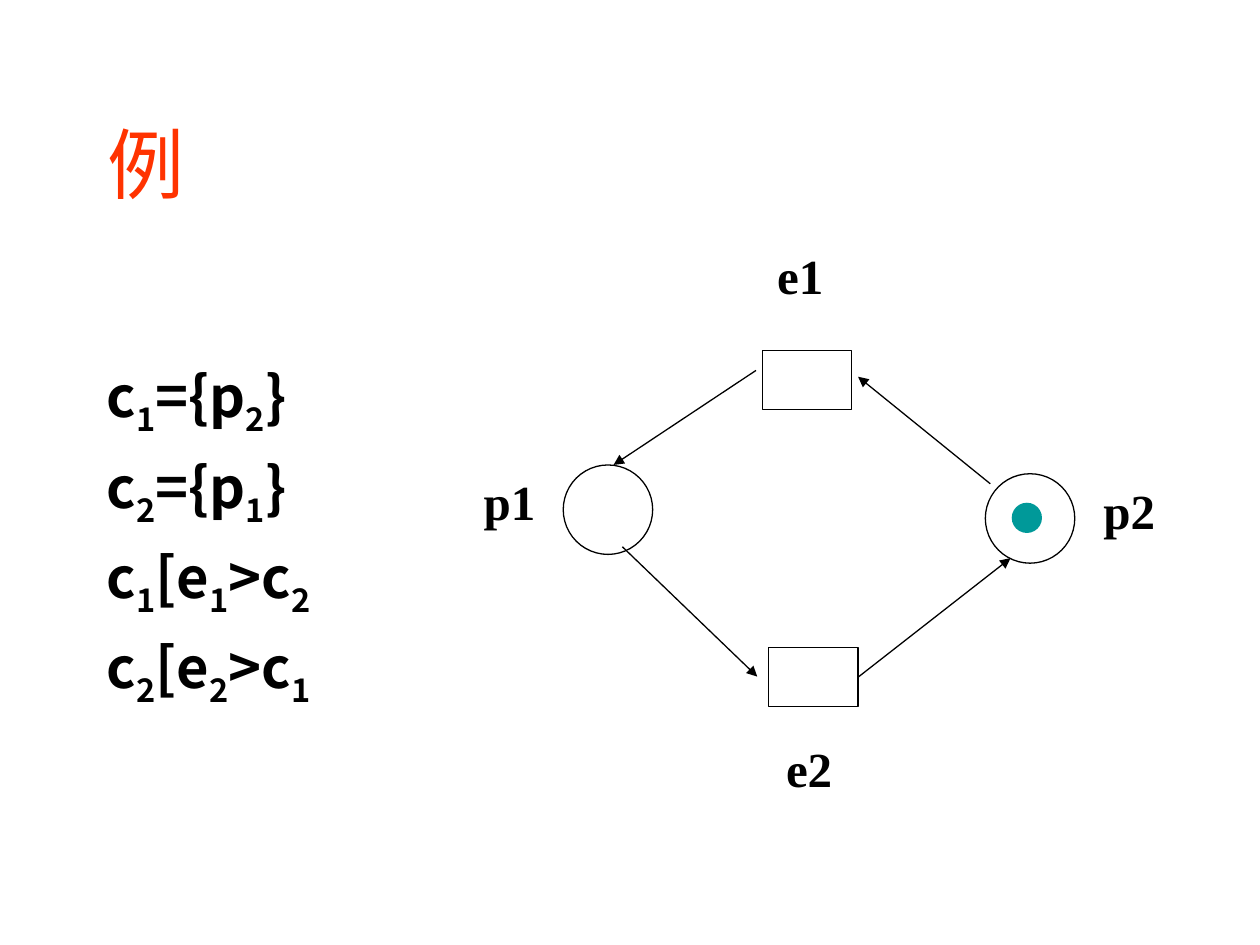
from pptx import Presentation
from pptx.dml.color import RGBColor
from pptx.enum.shapes import MSO_CONNECTOR, MSO_SHAPE
from pptx.enum.text import MSO_ANCHOR, PP_ALIGN
from pptx.oxml.ns import qn
from pptx.util import Inches, Pt
from lxml.etree import SubElement

BLACK = RGBColor(0x00, 0x00, 0x00)
WHITE = RGBColor(0xFF, 0xFF, 0xFF)
RED = RGBColor(0xFF, 0x33, 0x00)
TEAL = RGBColor(0x00, 0x99, 0x99)
SERIF, SANS = "Times New Roman", "Noto Sans CJK SC"
TITLE_FORMAT = {"name": SERIF, "size": Pt(44), "bold": False}
FORMULA_FORMAT = {"name": SANS, "size": Pt(32), "bold": True}
LABEL_FORMAT = {"name": SERIF, "size": Pt(28), "bold": True}
LINE_WIDTH = Pt(0.75)


class NetSlide:
    """Draws the elements of a Petri net on one slide."""

    def __init__(self, slide):
        self.slide = slide
        self.shapes = slide.shapes

    def add_run(self, paragraph, text, text_format, color=BLACK):
        run = paragraph.add_run()
        run.text = text
        for name, value in text_format.items():
            setattr(run.font, name, value)
        run.font.color.rgb = color
        return run

    def title(self, text, left, top, width, height):
        shape = self.shapes.title
        position = {"left": left, "top": top, "width": width, "height": height}
        for name, value in position.items():
            setattr(shape, name, Inches(value))
        shape.text_frame.vertical_anchor = MSO_ANCHOR.MIDDLE
        paragraph = shape.text_frame.paragraphs[0]
        paragraph.alignment = PP_ALIGN.LEFT
        self.add_run(paragraph, text, TITLE_FORMAT, RED)

    def text_box(self, left, top, width, height):
        box = self.shapes.add_textbox(*map(Inches, (left, top, width, height)))
        box.text_frame.word_wrap = True
        return box.text_frame

    def formulas(self, lines, left, top, width, height):
        """Each line lists parts that alternate between normal and subscript."""
        frame = self.text_box(left, top, width, height)
        frame.vertical_anchor = MSO_ANCHOR.BOTTOM
        frame.margin_bottom = Inches(1.04)
        for number, parts in enumerate(lines):
            paragraph = frame.add_paragraph() if number else frame.paragraphs[0]
            paragraph.line_spacing = Pt(51.6)
            for index, part in enumerate(parts):
                run = self.add_run(paragraph, part, FORMULA_FORMAT)
                if index % 2:
                    run.font._element.set("baseline", "-25000")

    def label(self, text, left, top):
        frame = self.text_box(left, top, 0.63, 0.67)
        frame.margin_top = Inches(0.09)
        self.add_run(frame.paragraphs[0], text, LABEL_FORMAT)

    def node(self, kind, left, top, width, height, fill=None, line=BLACK):
        shape = self.shapes.add_shape(kind, *map(Inches, (left, top, width, height)))
        shape.shadow.inherit = False
        if fill is None:
            shape.fill.background()
        else:
            shape.fill.solid()
            shape.fill.fore_color.rgb = fill
        if line is None:
            shape.line.fill.background()
        else:
            shape.line.color.rgb = line
            shape.line.width = LINE_WIDTH
        return shape

    def event(self, left, top):
        return self.node(MSO_SHAPE.RECTANGLE, left, top, 0.71, 0.47, WHITE)

    def place(self, left, top):
        return self.node(MSO_SHAPE.OVAL, left, top, 0.71, 0.71)

    def token(self, left, top):
        return self.node(MSO_SHAPE.OVAL, left, top, 0.24, 0.24, TEAL, None)

    def arrow(self, start, end):
        connector = self.shapes.add_connector(
            MSO_CONNECTOR.STRAIGHT, *map(Inches, start + end))
        connector.line.color.rgb = BLACK
        connector.line.width = LINE_WIDTH
        properties = connector._element.spPr
        SubElement(properties.find(qn("a:ln")), qn("a:tailEnd"), type="triangle")
        SubElement(properties, qn("a:effectLst"))
        return connector


def main():
    presentation = Presentation()
    presentation.slide_width, presentation.slide_height = Inches(10), Inches(7.5)
    net = NetSlide(presentation.slides.add_slide(presentation.slide_layouts[5]))

    # Title and formulas
    net.title("例", 0.75, 0.67, 8.5, 1.25)
    net.formulas([
        ("c", "1", "={p", "2", "}"),
        ("c", "2", "={p", "1", "}"),
        ("c", "1", "[e", "1", ">c", "2"),
        ("c", "2", "[e", "2", ">c", "1"),
    ], 0.75, 2.17, 3.25, 4.5)

    # Events, places and the token
    event_2 = net.event(6.1, 5.14)
    net.event(6.05, 2.78)
    net.place(7.82, 3.76)
    net.token(8.03, 3.99)
    net.place(4.47, 3.69)

    # Flow arrows
    net.arrow((4.94, 4.34), (6.01, 5.37))
    net.arrow((7.86, 3.84), (6.81, 2.99))
    net.arrow((6, 2.94), (4.87, 3.69))
    net.arrow((6.81, 5.38), (8.02, 4.43)).begin_connect(event_2, 3)

    # Labels
    for text, left, top in (("p2", 8.66, 3.72), ("e1", 6.07, 1.86),
                            ("e2", 6.14, 5.77), ("p1", 3.74, 3.65)):
        net.label(text, left, top)

    presentation.save("out.pptx")


if __name__ == "__main__":
    main()
